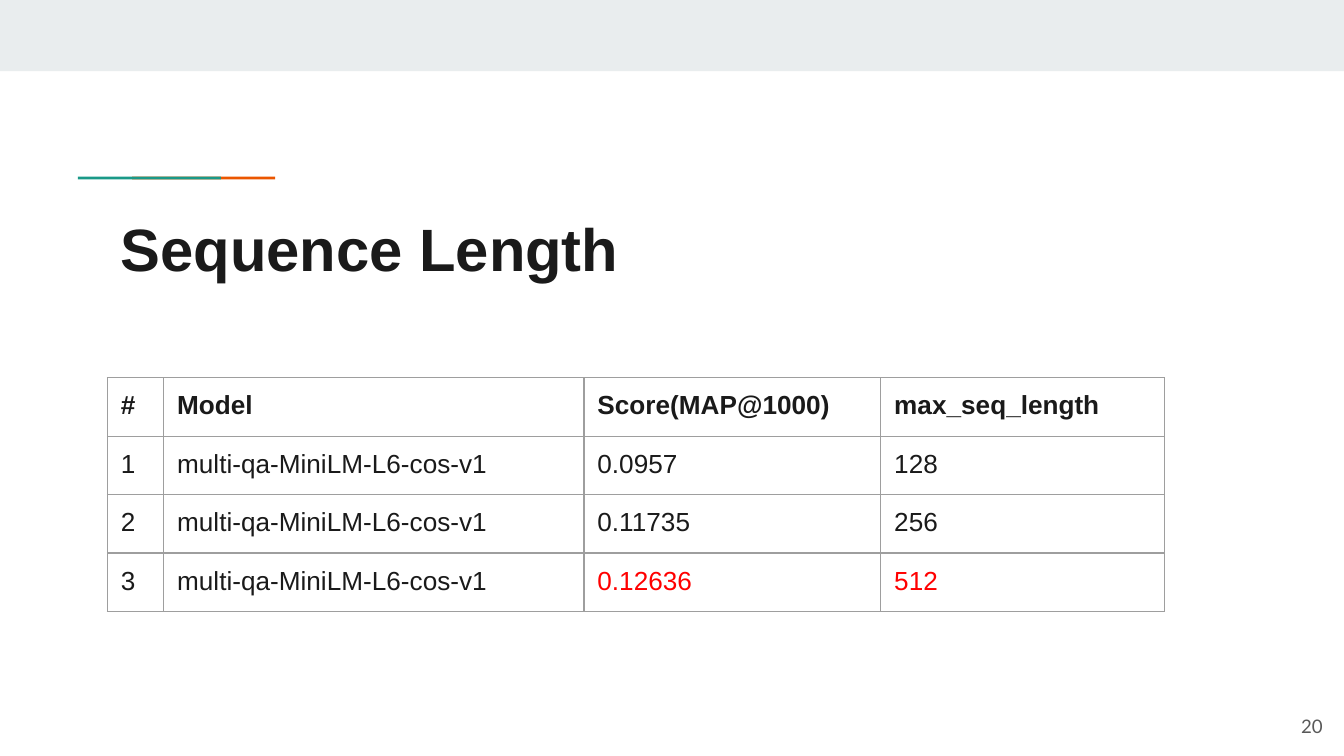
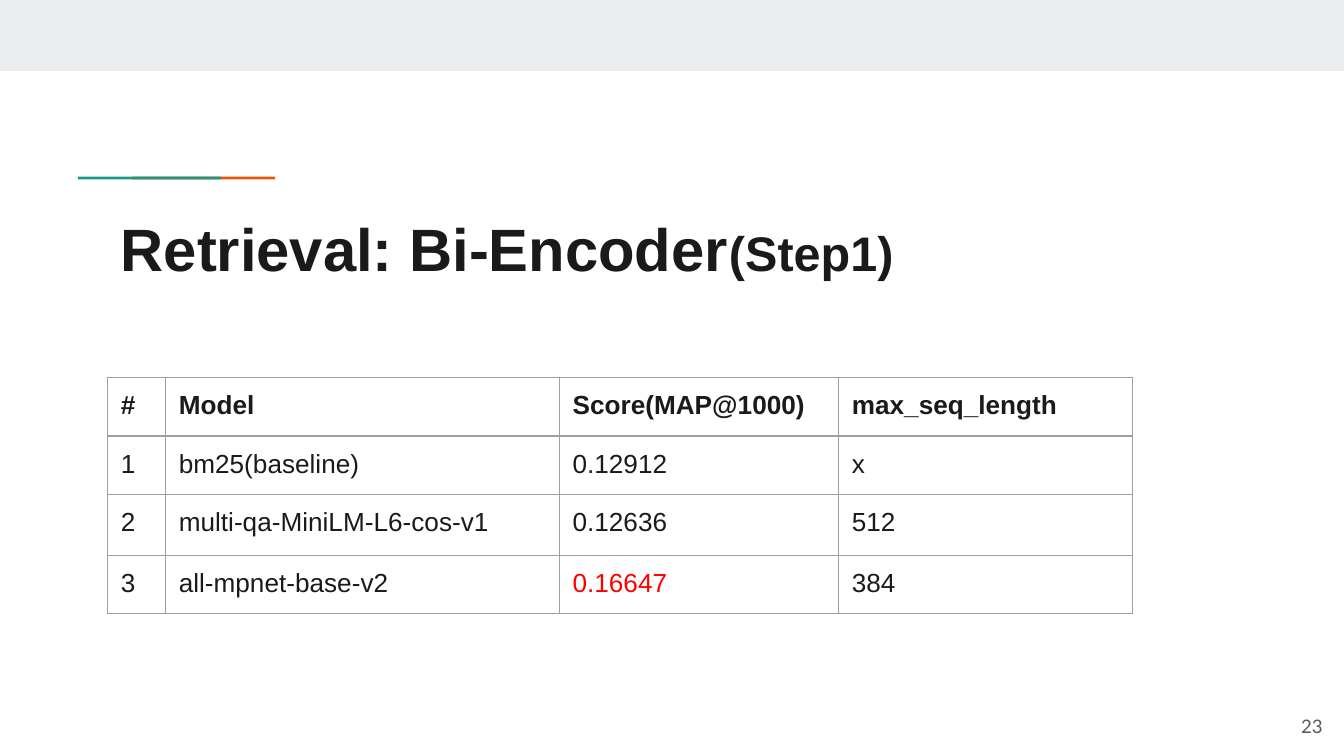
from pptx import Presentation
from pptx.dml.color import RGBColor
from pptx.enum import shapes, text
from pptx.oxml import parse_xml
from pptx.oxml.ns import nsdecls
from pptx.util import Pt

BAND = RGBColor(0xE9, 0xED, 0xEE)
ORANGE = RGBColor(0xEB, 0x56, 0x00)
GREEN = RGBColor(0x1A, 0x99, 0x88)
INK = RGBColor(0x1A, 0x1A, 0x1A)
GREY = RGBColor(0x59, 0x59, 0x59)
RED = RGBColor(0xFF, 0x00, 0x00)
BORDER = RGBColor(0x9E, 0x9E, 0x9E)

PAGE_WIDTH, PAGE_HEIGHT = 720, 405
INSET = 7.2
BAND_BOX = (0, 0, PAGE_WIDTH, 38.2)
ACCENT_BOX = (41.8, 94.6, 105.6, 1.6)
TITLE_BOX = (57.6, 103.7, 605.5, 42.5)
NUMBER_BOX = (672.5, 373.7, 43.2, 31)
TABLE_ORIGIN = (57.6, 202.4)
HEADINGS = ("#", "Model", "Score(MAP@1000)", "max_seq_length")


def points(*lengths):
    return [Pt(length) for length in lengths]


def style(span, size, color, font="Arial", bold=False):
    span.font.size = Pt(size)
    span.font.name = font
    span.font.bold = bold
    span.font.color.rgb = color


def add_bar(page, box, color):
    bar = page.shapes.add_shape(shapes.MSO_SHAPE.RECTANGLE, *points(*box))
    bar.shadow.inherit = False
    bar.fill.solid()
    bar.fill.fore_color.rgb = color
    bar.line.fill.background()


def add_accent(page, box):
    """Draw two equal bars, the green one overlapping the orange one."""
    left, top, width, height = box
    bar_width = 76.6
    add_bar(page, (left + width - bar_width, top, bar_width, height), ORANGE)
    add_bar(page, (left, top, bar_width, height), GREEN)


def add_text_frame(page, box):
    frame = page.shapes.add_textbox(*points(*box)).text_frame
    frame.word_wrap = True
    frame.margin_left = frame.margin_right = Pt(INSET)
    frame.margin_top = frame.margin_bottom = Pt(INSET)
    return frame


def add_title(page, box, parts):
    """Write the title from (wording, size) parts."""
    frame = add_text_frame(page, box)
    frame.margin_top = Pt(10)
    for wording, size in parts:
        span = frame.paragraphs[0].add_run()
        span.text = wording
        style(span, size, INK, bold=True)


def add_page_number(page, box, number):
    frame = add_text_frame(page, box)
    frame.vertical_anchor = text.MSO_ANCHOR.MIDDLE
    frame.text = str(number)
    para = frame.paragraphs[0]
    para.alignment = text.PP_ALIGN.RIGHT
    style(para.runs[0], 10, GREY, font="Lato")


def set_borders(cell):
    properties = cell._tc.get_or_add_tcPr()
    for position, side in enumerate(("lnL", "lnR", "lnT", "lnB")):
        properties.insert(position, parse_xml(
            f'<a:{side} {nsdecls("a")} w="{Pt(0.75)}"><a:solidFill>'
            f'<a:srgbClr val="{BORDER}"/></a:solidFill></a:{side}>'))


def fill_cell(cell, wording, color, bold):
    cell.fill.background()
    cell.margin_left = cell.margin_right = Pt(INSET)
    cell.margin_top = cell.margin_bottom = Pt(INSET)
    cell.text_frame.text = wording
    style(cell.text_frame.paragraphs[0].runs[0], 14, color, bold=bold)
    set_borders(cell)


def add_score_table(page, origin, widths, heights, results, best):
    """Number the results; best holds the (row, column) cells shown in red."""
    rows = [HEADINGS] + [(str(i), *result) for i, result in enumerate(results, 1)]
    table = page.shapes.add_table(
        len(rows), len(HEADINGS),
        *points(*origin, sum(widths), sum(heights))).table
    table.first_row = table.horz_banding = False
    for column, width in zip(table.columns, widths):
        column.width = Pt(width)
    for row, height in zip(table.rows, heights):
        row.height = Pt(height)
    for r, row in enumerate(rows):
        for c, wording in enumerate(row):
            color = RED if (r, c) in best else INK
            fill_cell(table.cell(r, c), wording, color, bold=r == 0)


def add_result_page(deck, title, number, **table):
    page = deck.slides.add_slide(deck.slide_layouts[6])
    add_bar(page, BAND_BOX, BAND)
    add_accent(page, ACCENT_BOX)
    add_title(page, TITLE_BOX, title)
    add_page_number(page, NUMBER_BOX, number)
    add_score_table(page, TABLE_ORIGIN, **table)


def main():
    deck = Presentation()
    deck.slide_width, deck.slide_height = points(PAGE_WIDTH, PAGE_HEIGHT)
    small_model = "multi-qa-MiniLM-L6-cos-v1"
    add_result_page(
        deck, [("Sequence Length", 32)], 20,
        widths=(30.1, 225.2, 159, 152), heights=(31.4, 30, 30, 30),
        results=[(small_model, "0.0957", "128"),
                 (small_model, "0.11735", "256"),
                 (small_model, "0.12636", "512")],
        best={(3, 2), (3, 3)})
    add_result_page(
        deck, [("Retrieval: Bi-Encoder", 32), ("(Step1)", 26)], 23,
        widths=(31, 211, 149.6, 157.5), heights=(30, 30, 32.6, 30),
        results=[("bm25(baseline)", "0.12912", "x"),
                 (small_model, "0.12636", "512"),
                 ("all-mpnet-base-v2", "0.16647", "384")],
        best={(3, 2)})
    deck.save("out.pptx")


if __name__ == "__main__":
    main()
